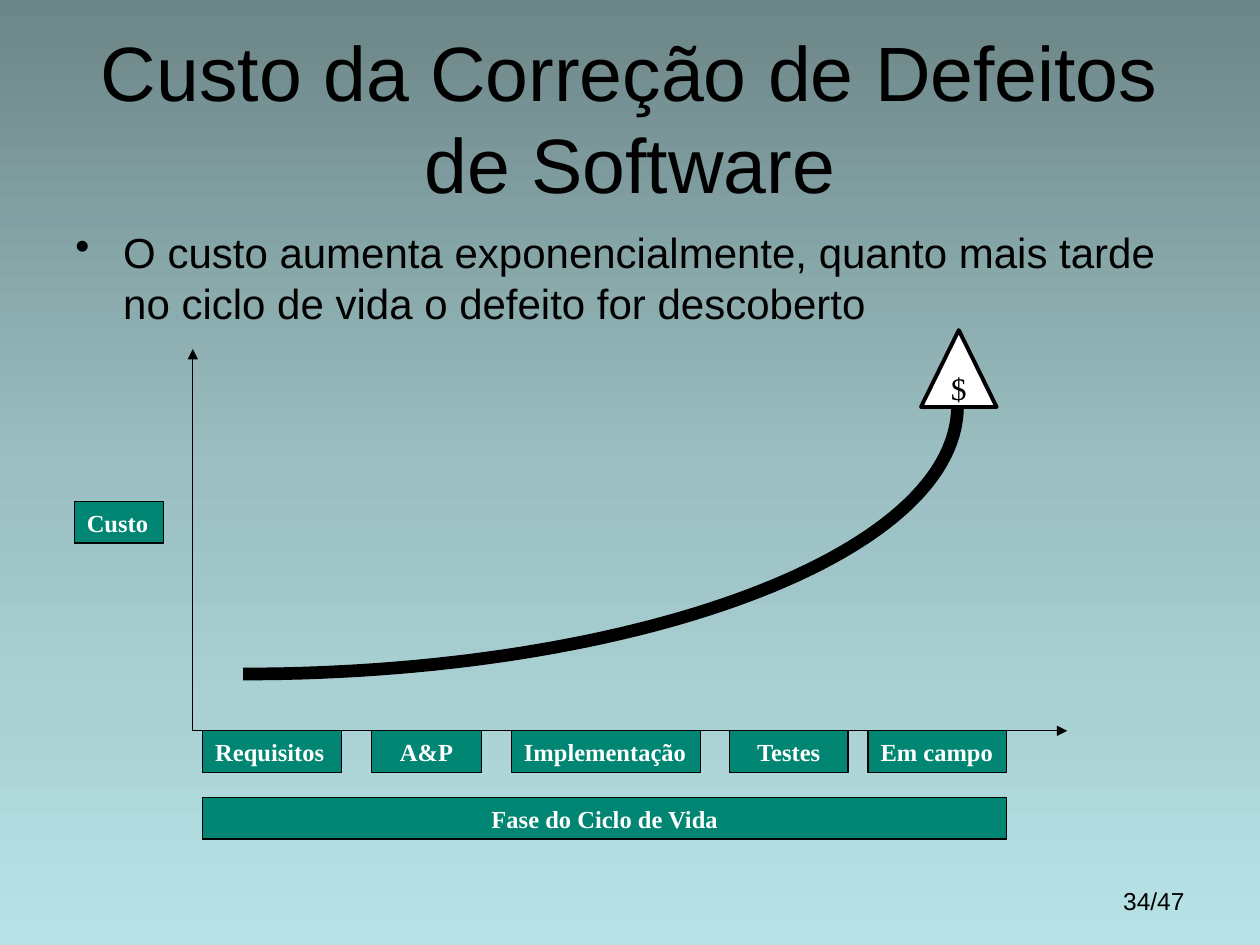
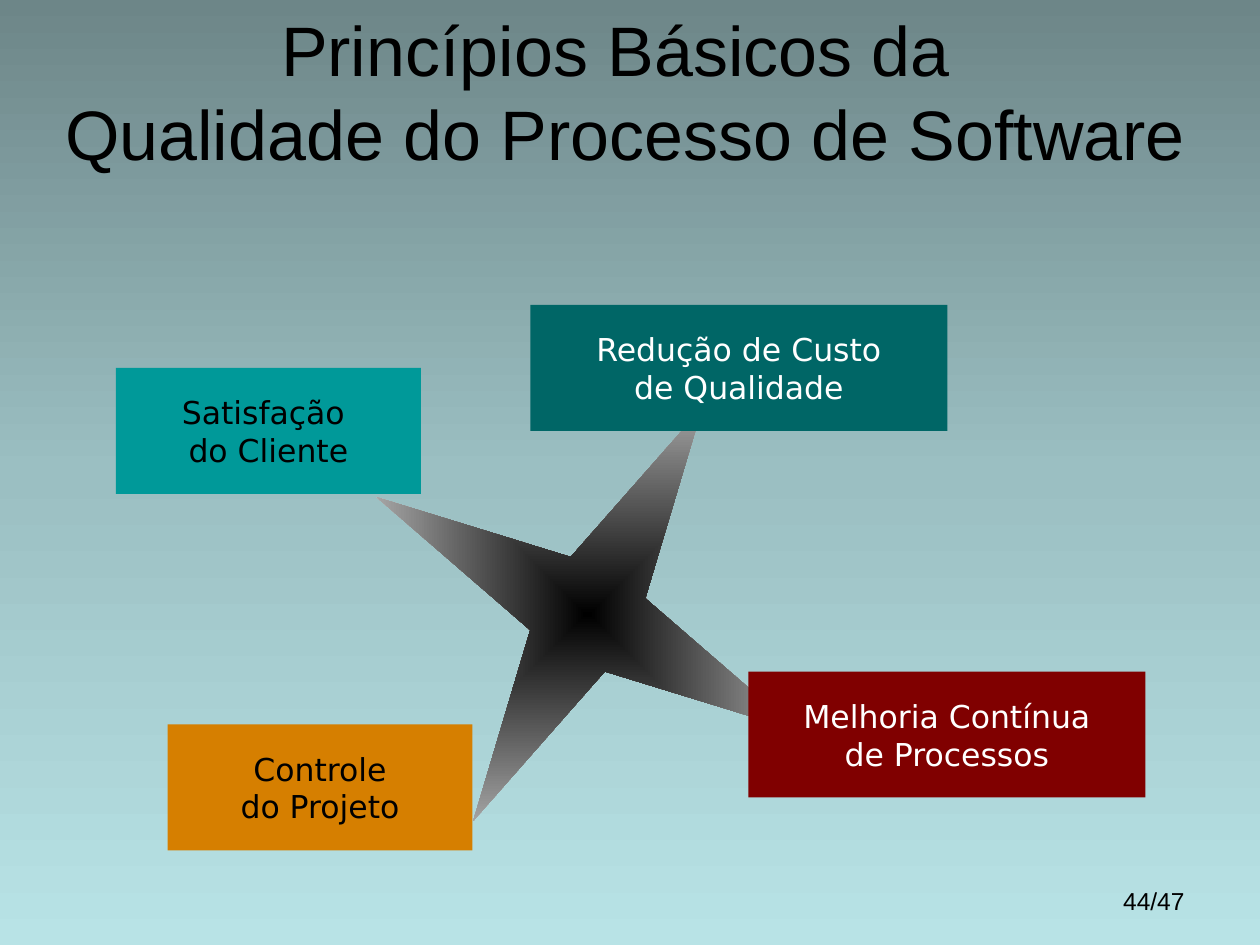
from lxml import etree
from pptx import Presentation
from pptx.dml.color import RGBColor
from pptx.enum import shapes, text
from pptx.oxml import parse_xml
from pptx.oxml.ns import nsdecls, qn
from pptx.util import Inches, Pt

BLACK, WHITE, GREEN = "000000", "FFFFFF", "008673"
BACKGROUND = [(0, "6D8688"), (50, "9BBFC2"), (100, "B8E3E6")]
STAR = [(0, BLACK), (100, WHITE)]
SANS, SERIF, LABEL = "Arial", "Times New Roman", "DejaVu Sans"
LEFT, CENTER, RIGHT = text.PP_ALIGN.LEFT, text.PP_ALIGN.CENTER, text.PP_ALIGN.RIGHT
TOP, MIDDLE = text.MSO_ANCHOR.TOP, text.MSO_ANCHOR.MIDDLE
SHAPE = shapes.MSO_SHAPE

COST_TITLE = "Custo da Correção de Defeitos de Software"
COST_BULLET = ("O custo aumenta exponencialmente, quanto mais tarde "
               "no ciclo de vida o defeito for descoberto")
ORIGIN = (1.53, 5.8)
AXIS_ENDS = [(1.53, 2.77), (8.47, 5.8)]
CURVE = [(1.93, 5.35), (5.06, 5.35), (7.6, 4.4), (7.6, 3.22)]
CURVE_STEPS = 60
TAG_HEIGHT = 0.33
TAGS = [  # text, left, top, width, alignment
    ("Requisitos", 1.61, 5.8, 1.1, LEFT),
    ("A&P", 2.95, 5.8, 0.87, CENTER),
    ("Implementação", 4.06, 5.8, 1.5, LEFT),
    ("Testes", 5.79, 5.8, 0.94, CENTER),
    ("Em campo", 6.89, 5.8, 1.1, LEFT),
    ("Fase do Ciclo de Vida", 1.61, 6.33, 6.38, CENTER),
    ("Custo", 0.59, 3.98, 0.71, LEFT),
]

QUALITY_TITLE = "Princípios Básicos da \nQualidade do Processo de Software"
PRINCIPLES = [  # lines, left, top, width, fill, text colour
    (["Satisfação ", "do Cliente"], 0.92, 2.92, 2.42, "009999", BLACK),
    (["Melhoria Contínua", "de Processos"], 5.94, 5.33, 3.15, "800000", WHITE),
    (["Redução de Custo", "de Qualidade"], 4.21, 2.42, 3.31, "006666", WHITE),
    (["Controle", "do Projeto"], 1.33, 5.75, 2.42, "D67F00", BLACK),
]


def rgb(value):
    return RGBColor.from_string(value)


def set_gradient(owner, stops, direction):
    """Swap the solid fill inside owner for a gradient."""
    gs = "".join(f'<a:gs pos="{pos * 1000}"><a:srgbClr val="{color}"/></a:gs>'
                 for pos, color in stops)
    solid = owner.find(".//" + qn("a:solidFill"))
    solid.getparent().replace(solid, parse_xml(
        f'<a:gradFill {nsdecls("a")} rotWithShape="0">'
        f'<a:gsLst>{gs}</a:gsLst>{direction}</a:gradFill>'))


def write(sp, paragraphs, size, font, color, align=LEFT, anchor=TOP, wrap=True):
    tf = sp.text_frame
    tf.word_wrap = wrap
    tf.vertical_anchor = anchor
    for i, content in enumerate(paragraphs):
        p = tf.add_paragraph() if i else tf.paragraphs[0]
        p.alignment = align
        for j, line in enumerate(content.split("\n")):
            if j:
                p.add_line_break()
            r = p.add_run()
            r.text = line
            r.font.size, r.font.name = Pt(size), font
            r.font.color.rgb = rgb(color)
    return tf


def add_text(s, content, at, size, align=LEFT, anchor=TOP):
    sp = s.shapes.add_textbox(*map(Inches, at))
    return write(sp, [content], size, SANS, BLACK, align, anchor)


def style_line(sp, width):
    if width:
        sp.line.color.rgb = rgb(BLACK)
        sp.line.width = Pt(width)
    else:
        sp.line.fill.background()


def add_shape(s, kind, at, fill, line=0):
    sp = s.shapes.add_shape(kind, *map(Inches, at))
    sp.shadow.inherit = False
    sp.fill.solid()
    sp.fill.fore_color.rgb = rgb(fill)
    style_line(sp, line)
    return sp


def add_axis(s, end):
    axis = s.shapes.add_connector(shapes.MSO_CONNECTOR.STRAIGHT,
                                  *map(Inches, ORIGIN + end))
    style_line(axis, 0.75)
    etree.SubElement(axis.line._get_or_add_ln(), qn("a:tailEnd"), type="triangle")
    etree.SubElement(axis._element.spPr, qn("a:effectLst"))


def bezier(points, t):
    weights = [(1 - t) ** 3, 3 * t * (1 - t) ** 2, 3 * t ** 2 * (1 - t), t ** 3]
    return tuple(Inches(sum(w * pt[k] for w, pt in zip(weights, points)))
                 for k in (0, 1))


def add_curve(s):
    start, *rest = [bezier(CURVE, i / CURVE_STEPS) for i in range(CURVE_STEPS + 1)]
    builder = s.shapes.build_freeform(*start)
    builder.add_line_segments(rest, close=False)
    curve = builder.convert_to_shape()
    curve.shadow.inherit = False
    curve.fill.background()
    style_line(curve, 7.25)


def add_slide(prs, number):
    s = prs.slides.add_slide(prs.slide_layouts[6])
    add_text(s, number, (7.17, 6.98, 2.33, 0.52), 14, RIGHT)
    return s


def add_title(s, title, at, size):
    add_text(s, title, at, size, CENTER, MIDDLE)


def cost_slide(prs):
    s = add_slide(prs, "34/47")
    add_title(s, COST_TITLE, (0.5, 0.3, 9, 1.25), 44)
    body = add_text(s, COST_BULLET, (0.5, 1.75, 9, 4.95), 24)
    pPr = body.paragraphs[0]._p.get_or_add_pPr()
    pPr.set("marL", str(Inches(0.38)))
    pPr.set("indent", str(Inches(-0.38)))
    etree.SubElement(pPr, qn("a:buChar"), char="•")
    for end in AXIS_ENDS:
        add_axis(s, end)
    for label, left, top, width, align in TAGS:
        tag = add_shape(s, SHAPE.RECTANGLE, (left, top, width, TAG_HEIGHT), GREEN, 0.75)
        tf = write(tag, [label], 14, SERIF, WHITE, align)
        tf.paragraphs[0].runs[0].font.bold = True
    add_curve(s)
    tip = add_shape(s, SHAPE.ISOSCELES_TRIANGLE, (7.31, 2.62, 0.6, 0.61), WHITE, 2.25)
    write(tip, ["$"], 18, SERIF, BLACK, CENTER, MIDDLE, wrap=False)


def quality_slide(prs):
    s = add_slide(prs, "44/47")
    star = add_shape(s, SHAPE.STAR_4_POINT, (2.75, 3, 3.83, 3.75), BLACK)
    star.adjustments[0] = 0.125
    star.rotation = 29
    set_gradient(star._element.spPr, STAR,
                 '<a:path path="shape"><a:fillToRect l="50000" t="50000" '
                 'r="50000" b="50000"/></a:path>')
    add_title(s, QUALITY_TITLE, (0, -0.06, 9.92, 1.56), 40)
    for lines, left, top, width, fill, color in PRINCIPLES:
        box = add_shape(s, SHAPE.RECTANGLE, (left, top, width, 1), fill)
        write(box, lines, 18, LABEL, color, CENTER, MIDDLE, wrap=False)


def main():
    prs = Presentation()
    prs.slide_width, prs.slide_height = Inches(10), Inches(7.5)
    master = prs.slide_master
    master.background.fill.solid()
    master.background.fill.fore_color.rgb = rgb(BACKGROUND[0][1])
    set_gradient(master.element.find(".//" + qn("p:bgPr")), BACKGROUND,
                 '<a:lin ang="5400000" scaled="1"/>')
    cost_slide(prs)
    quality_slide(prs)
    prs.save("out.pptx")


if __name__ == "__main__":
    main()
